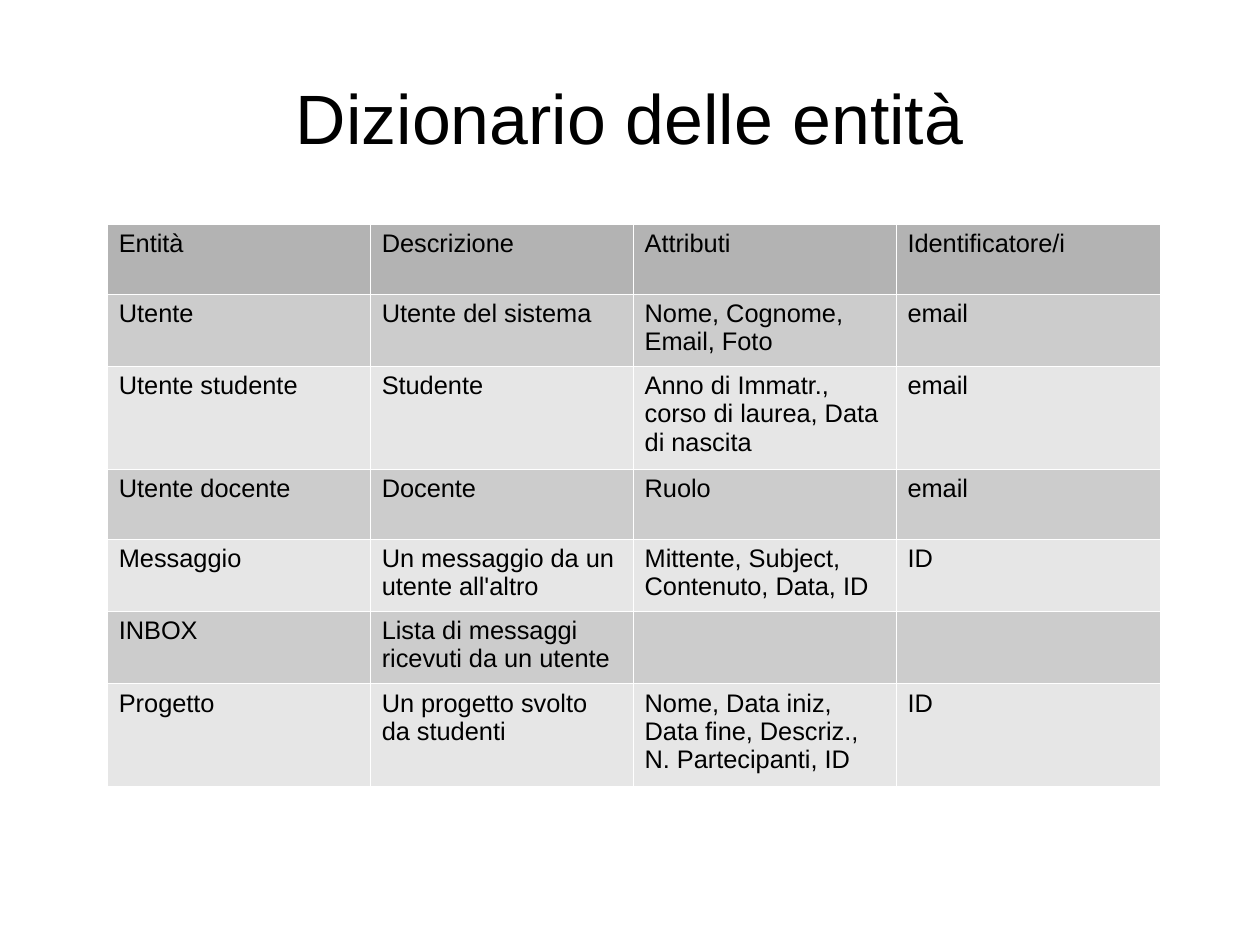
"""Build the entity dictionary slide: a title above a four-column table."""
from dataclasses import dataclass

from lxml.etree import SubElement
from pptx import Presentation
from pptx.dml.color import RGBColor as Rgb
from pptx.enum.text import MSO_ANCHOR as Anchor, PP_ALIGN as Align
from pptx.oxml.ns import qn
from pptx.util import Cm, Inches, Pt

TITLE = "Dizionario delle entità"
ENTITIES = [
    ("Entità", "Descrizione", "Attributi", "Identificatore/i"),
    ("Utente", "Utente del sistema", "Nome, Cognome, Email, Foto", "email"),
    ("Utente studente", "Studente",
     "Anno di Immatr., corso di laurea, Data di nascita", "email"),
    ("Utente docente", "Docente", "Ruolo", "email"),
    ("Messaggio", "Un messaggio da un utente all'altro",
     "Mittente, Subject, Contenuto, Data, ID", "ID"),
    ("INBOX", "Lista di messaggi ricevuti da un utente", "", ""),
    ("Progetto", "Un progetto svolto da studenti",
     "Nome, Data iniz, Data fine, Descriz., N. Partecipanti, ID", "ID"),
]
COLUMN_WIDTHS = (2.3, 2.3, 2.3, 2.31)
LINES_PER_ROW = (1, 2, 3, 1, 2, 2, 3)
ROW_HEIGHT = {1: 0.61, 2: 0.63, 3: 0.9}


@dataclass(frozen=True)
class Theme:
    font: str = "Arial"
    ink: str = "000000"
    rule: str = "FFFFFF"
    header: str = "B3B3B3"
    bands: tuple = ("CCCCCC", "E6E6E6")
    title_size: int = 44
    cell_size: int = 16
    rule_width: float = 0.06


THEME = Theme()
WIDTH, HEIGHT = Cm(28), Cm(21)
MARGIN = 0.05


def write(paragraph, words, size):
    run = paragraph.add_run()
    run.text = words
    run.font.name = THEME.font
    run.font.size = Pt(size)
    run.font.color.rgb = Rgb.from_string(THEME.ink)


def rule_cell(cell):
    properties = cell._tc.get_or_add_tcPr()
    for position, side in enumerate(("lnL", "lnR", "lnT", "lnB")):
        line = properties.makeelement(
            qn(f"a:{side}"), {"w": str(Pt(THEME.rule_width))})
        fill = SubElement(line, qn("a:solidFill"))
        SubElement(fill, qn("a:srgbClr"), val=THEME.rule)
        properties.insert(position, line)


def add_title(slide):
    title = slide.shapes.add_textbox(
        int(WIDTH * MARGIN), int(HEIGHT * 0.04),
        int(WIDTH * (1 - 2 * MARGIN)), Inches(1.38))
    frame = title.text_frame
    frame.word_wrap = True
    frame.vertical_anchor = Anchor.MIDDLE
    frame.margin_left = frame.margin_right = 0
    frame.margin_top = frame.margin_bottom = 0
    heading = frame.paragraphs[0]
    heading.alignment = Align.CENTER
    write(heading, TITLE, THEME.title_size)


def add_dictionary(slide):
    widths = [Inches(width) for width in COLUMN_WIDTHS]
    heights = [Inches(ROW_HEIGHT[lines]) for lines in LINES_PER_ROW]
    dictionary = slide.shapes.add_table(
        len(heights), len(widths), Inches(0.94), Inches(1.96),
        sum(widths), sum(heights)).table
    for column, width in zip(dictionary.columns, widths):
        column.width = width
    for r, (entity, height) in enumerate(zip(ENTITIES, heights)):
        dictionary.rows[r].height = height
        shade = THEME.bands[(r - 1) % 2] if r else THEME.header
        for c, words in enumerate(entity):
            cell = dictionary.cell(r, c)
            cell.fill.solid()
            cell.fill.fore_color.rgb = Rgb.from_string(shade)
            rule_cell(cell)
            paragraph = cell.text_frame.paragraphs[0]
            paragraph.font.size = Pt(THEME.cell_size)
            if words:
                write(paragraph, words, THEME.cell_size)


def main():
    deck = Presentation()
    deck.slide_width = WIDTH
    deck.slide_height = HEIGHT
    slide = deck.slides.add_slide(deck.slide_layouts[6])
    add_title(slide)
    add_dictionary(slide)
    deck.save("out.pptx")


if __name__ == "__main__":
    main()
